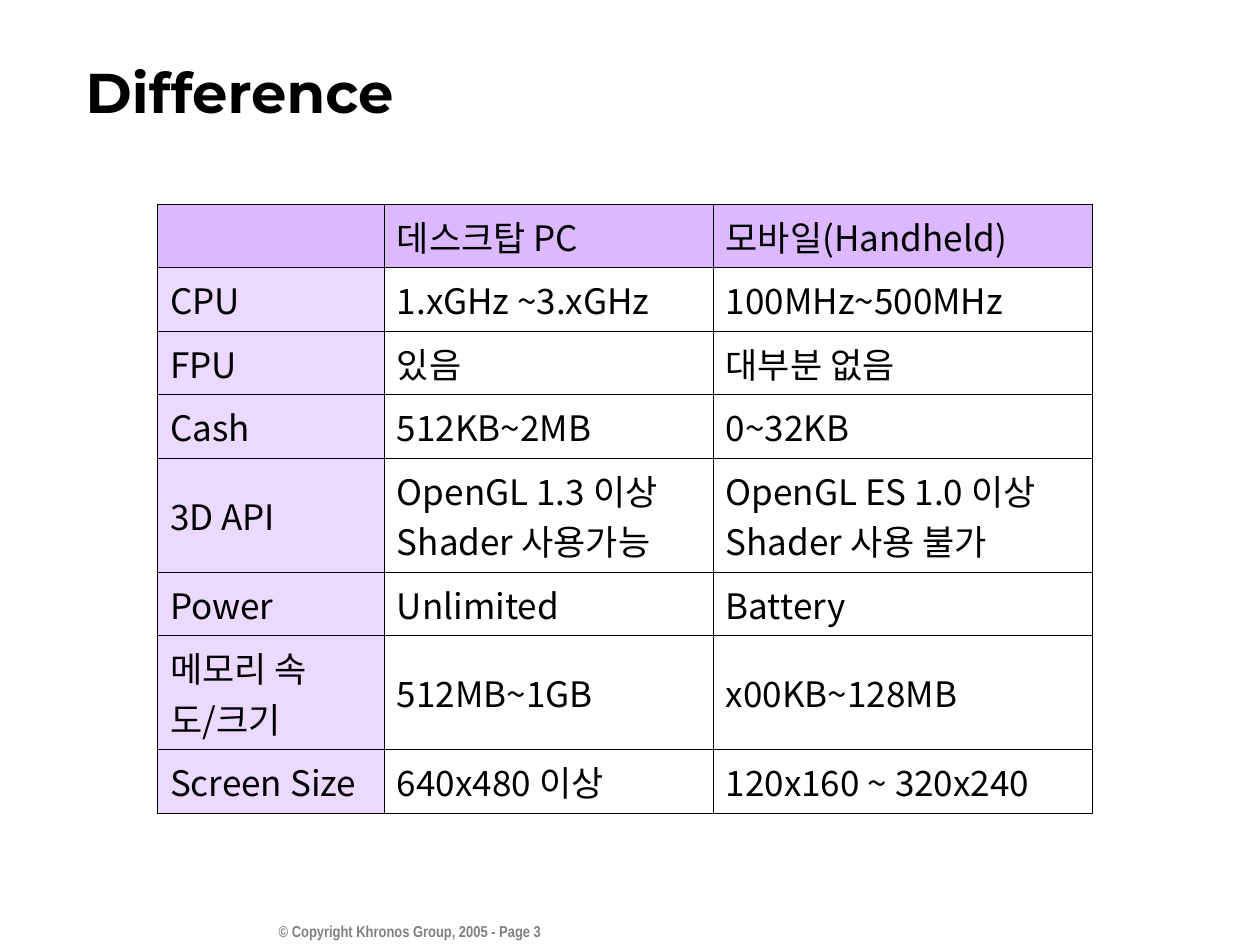
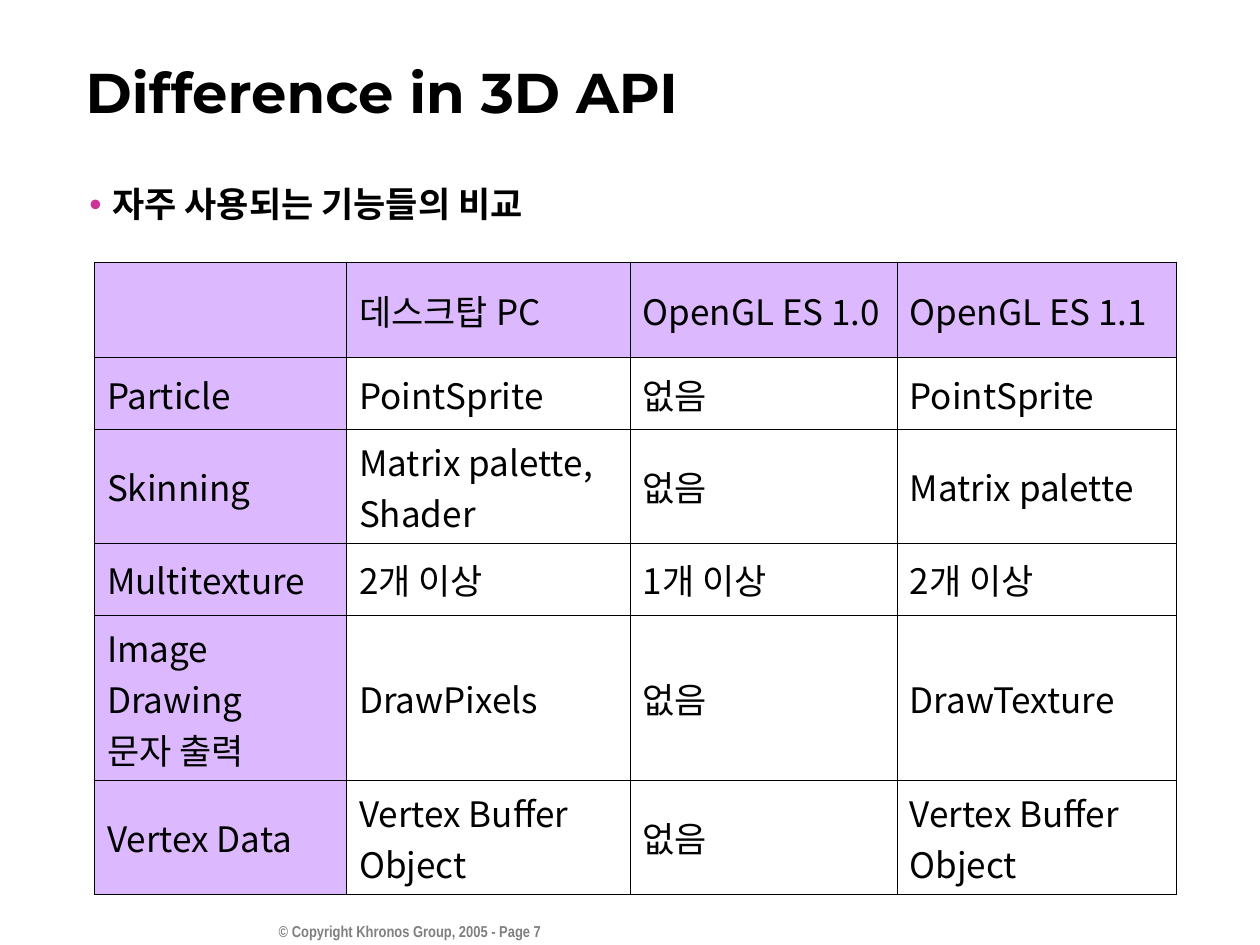
"""Builds two slides that compare desktop and mobile 3D."""
import lxml.etree
import pptx
import pptx.dml.color
import pptx.enum.text
import pptx.oxml.ns
import pptx.util

RGB = pptx.dml.color.RGBColor
BLACK = RGB(0x00, 0x00, 0x00)
GREY = RGB(0x80, 0x80, 0x80)
PINK = RGB(0xCC, 0x33, 0x99)
LILAC = RGB(0xDC, 0xB9, 0xFF)
PALE = RGB(0xEC, 0xD9, 0xFF)

HEAD = "Montserrat"
NARROW = "Arial Narrow"
SANS = "Noto Sans CJK KR"

COLS, ROWS = 100, 75
UNIT = pptx.util.Inches(0.1)
LINE = pptx.util.Pt(0.45)

ALIGN = pptx.enum.text.PP_ALIGN
ANCHOR = pptx.enum.text.MSO_ANCHOR

TITLE_BOX = (5.8, 5.1, 93.7, 4.2)
LIST_BOX = (6.1, 14.2, 81.4, 56.7)
FOOT_BOX = (20, 72.7, 23.9, 3.3)

SPECS = [
    ["", "데스크탑 PC", "모바일(Handheld)"],
    ["CPU", "1.xGHz ~3.xGHz", "100MHz~500MHz"],
    ["FPU", "있음", "대부분 없음"],
    ["Cash", "512KB~2MB", "0~32KB"],
    ["3D API", "OpenGL 1.3 이상\nShader 사용가능",
     "OpenGL ES 1.0 이상\nShader 사용 불가"],
    ["Power", "Unlimited", "Battery"],
    ["메모리 속도/크기", "512MB~1GB", "x00KB~128MB"],
    ["Screen Size", "640x480 이상", "120x160 ~ 320x240"],
]
CALLS = [
    ["", "데스크탑 PC", "OpenGL ES 1.0", "OpenGL ES 1.1"],
    ["Particle", "PointSprite", "없음", "PointSprite"],
    ["Skinning", "Matrix palette, Shader", "없음", "Matrix palette"],
    ["Multitexture", "2개 이상", "1개 이상", "2개 이상"],
    ["Image Drawing\v문자 출력", "DrawPixels", "없음", "DrawTexture"],
    ["Vertex Data", "Vertex Buffer Object", "없음", "Vertex Buffer Object"],
]


def span(count):
    """Turn grid units into a length."""
    return int(count * UNIT)


def place(shape, box):
    """Move a shape to a box given in grid units."""
    shape.left, shape.top, shape.width, shape.height = map(span, box)


def add(parent, tag, **attrs):
    """Add a drawing element to an XML parent."""
    return lxml.etree.SubElement(parent, pptx.oxml.ns.qn(tag), attrs)


def write(frame, text, size=20, font=SANS, color=BLACK, bold=False,
          align=ALIGN.LEFT):
    """Fill a text frame and format its runs."""
    frame.text = text
    frame.word_wrap = True
    for para in frame.paragraphs:
        para.alignment = align
        for run in para.runs:
            run.font.size = pptx.util.Pt(size)
            run.font.name = font
            run.font.bold = bold
            run.font.color.rgb = color
            add(run._r.get_or_add_rPr(), "a:ea", typeface=SANS)


def bullet(para, indent):
    """Give a paragraph a pink hanging bullet."""
    props = para._p.get_or_add_pPr()
    props.set("marL", str(span(indent)))
    props.set("indent", str(-span(indent)))
    add(add(props, "a:buClr"), "a:srgbClr", val=str(PINK))
    add(props, "a:buChar", char="•")
    para.line_spacing = 0.95
    para.space_before = pptx.util.Pt(0)


def border(cell):
    """Draw a thin black line on each side of a cell."""
    props = cell._tc.get_or_add_tcPr()
    for side in "LRTB":
        line = add(props, f"a:ln{side}", w=str(LINE))
        add(add(line, "a:solidFill"), "a:srgbClr", val=str(BLACK))


def tint(cell, color):
    """Fill a cell, or clear it when there is no color."""
    if color is None:
        cell.fill.background()
    else:
        cell.fill.solid()
        cell.fill.fore_color.rgb = color


def grid(slide, left, top, widths, heights, data, side):
    """Add a table with a lilac head row and a tinted first column."""
    frame = slide.shapes.add_table(
        len(heights), len(widths),
        *map(span, (left, top, sum(widths), sum(heights))))
    table = frame.table
    table.first_row = table.horz_banding = False
    for col, width in zip(table.columns, widths):
        col.width = span(width)
    for row, height in zip(table.rows, heights):
        row.height = span(height)
    for r, texts in enumerate(data):
        for c, text in enumerate(texts):
            cell = table.cell(r, c)
            cell.vertical_anchor = ANCHOR.MIDDLE
            write(cell.text_frame, text)
            border(cell)
            tint(cell, LILAC if r == 0 else side if c == 0 else None)


def start(deck, layout, title, page):
    """Add a slide with its title and copyright footer."""
    slide = deck.slides.add_slide(deck.slide_layouts.get_by_name(layout))
    head = slide.shapes.title
    place(head, TITLE_BOX)
    write(head.text_frame, title, size=32, font=HEAD, bold=True)
    head.text_frame.vertical_anchor = ANCHOR.MIDDLE
    head.text_frame.auto_size = pptx.enum.text.MSO_AUTO_SIZE.NONE
    foot = slide.shapes.add_textbox(*map(span, FOOT_BOX))
    write(foot.text_frame, f"© Copyright Khronos Group, 2005 - Page {page}",
          size=9, font=NARROW, color=GREY, bold=True, align=ALIGN.RIGHT)
    return slide


def points(slide, text):
    """Put a bulleted list in the body placeholder."""
    body = slide.placeholders[1]
    place(body, LIST_BOX)
    write(body.text_frame, text, font=NARROW, bold=True)
    body.text_frame.auto_size = pptx.enum.text.MSO_AUTO_SIZE.NONE
    for para in body.text_frame.paragraphs:
        bullet(para, 1.8)


def main():
    """Build and save the deck."""
    deck = pptx.Presentation()
    deck.slide_width, deck.slide_height = span(COLS), span(ROWS)

    slide = start(deck, "Title Only", "Difference", 3)
    one, two = 5.04, 9.05
    grid(slide, 12.5, 16.2, [18, 26.1, 30.1],
         [one, one, one, one, two, one, two, one], SPECS, PALE)

    slide = start(deck, "Title and Content", "Difference in 3D API", 7)
    points(slide, "자주 사용되는 기능들의 비교")
    one = 5.7
    grid(slide, 7.5, 20.8, [20, 22.5, 21.2, 22.2],
         [7.6, one, two, one, 13.1, two], CALLS, LILAC)

    deck.save("out.pptx")


if __name__ == "__main__":
    main()
